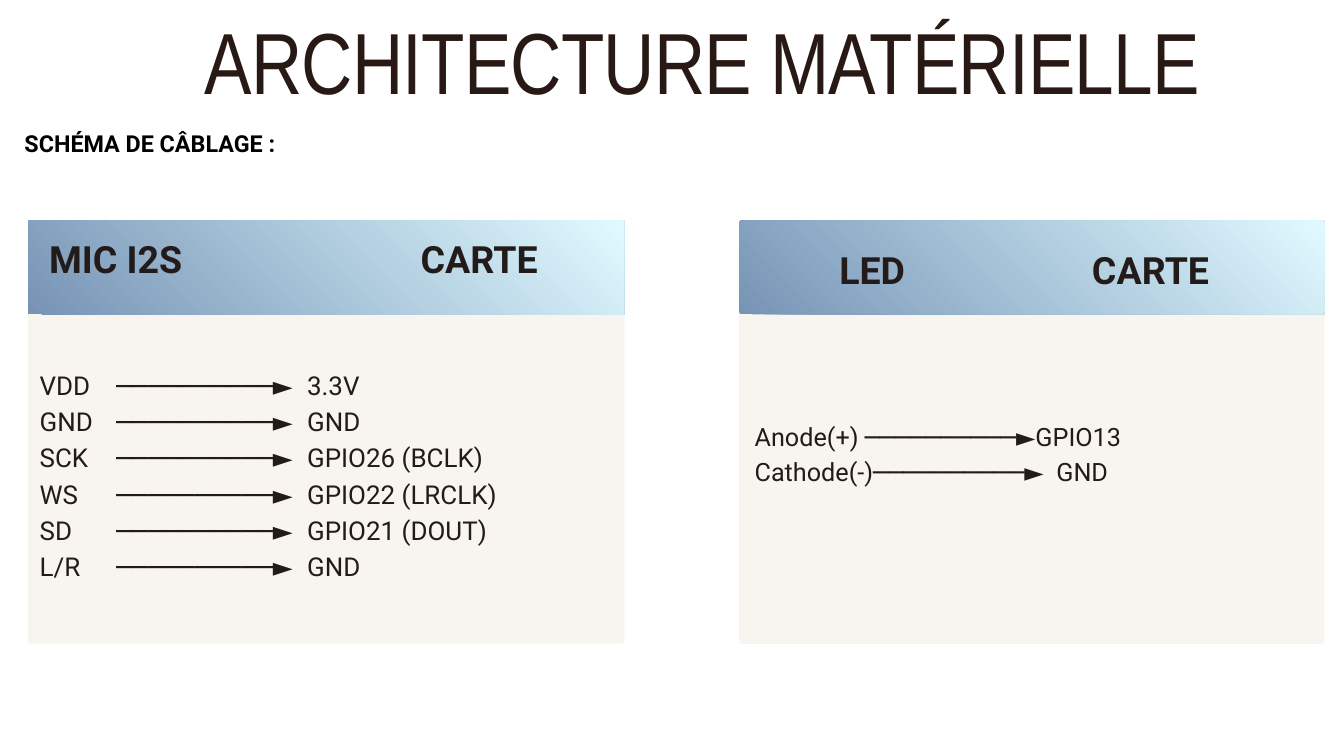
from pptx import Presentation
from pptx.dml.color import RGBColor
from pptx.enum import shapes, text
from pptx.oxml import parse_xml
from pptx.oxml.ns import nsdecls
from pptx.util import Emu, Inches, Pt

TITLE = "ARCHITECTURE MATÉRIELLE"
SUBTITLE = "SCHÉMA DE CÂBLAGE :"
ARROW = "──────────►"
MICRO_PINS = [
    ("VDD", "3.3V"),
    ("GND", "GND"),
    ("SCK", "GPIO26 (BCLK)"),
    ("WS", "GPIO22 (LRCLK)"),
    ("SD", "GPIO21 (DOUT)"),
    ("L/R", "GND"),
]
LED_ROWS = [f"Anode(+) {ARROW}GPIO13", f"Cathode(-){ARROW}\tGND"]

INK = "221B19"
CARD = "F8F5F1"
GRADIENT = ("7794B6", "DFFAFF")
CORNER = 0.04
HEADER_TOP, HEADER_HEIGHT, CARD_BOTTOM = 3.28, 1.4, 9.58

PANELS = [
    {"left": 0.42, "width": 8.87, "card_top": 3.28, "header_corner": 0},
    {"left": 11, "width": 8.71, "card_top": 3.87, "header_corner": CORNER},
]
HEADINGS = [
    {"lines": ["MIC I2S"], "box": (0.73, 3.4, 5.2, 0.74)},
    {"lines": ["CARTE"], "box": (6.26, 3.4, 2.9, 0.74)},
    {"lines": ["LED\tCARTE"], "box": (12.49, 3.56, 6, 0.75), "tabs": [3.76]},
]
WIRINGS = [
    {"lines": [f"{pin}\t{ARROW}\t{target}" for pin, target in MICRO_PINS],
     "box": (0.59, 5.42, 8.54, 3.2), "size": 27.8, "spacing": 38.9,
     "tabs": [1.14, 3.98]},
    {"lines": LED_ROWS, "box": (11.23, 6.19, 8.77, 1.02),
     "size": 27, "spacing": 37.8, "tabs": [4.49]},
]


def rgb(value):
    return RGBColor.from_string(value)


def place(shape, box):
    shape.left, shape.top, shape.width, shape.height = map(Inches, box)


def write(shape, lines, size, spacing, font="Roboto", color=INK, bold=False,
          align=text.PP_ALIGN.LEFT, tabs=(), tracking=None):
    frame = shape.text_frame
    frame.word_wrap = True
    frame.auto_size = text.MSO_AUTO_SIZE.NONE
    frame.vertical_anchor = text.MSO_ANCHOR.TOP
    frame.margin_left = frame.margin_right = Emu(0)
    frame.margin_top = frame.margin_bottom = Emu(0)
    for index, line in enumerate(lines):
        paragraph = frame.paragraphs[0] if index == 0 else frame.add_paragraph()
        paragraph.alignment = align
        paragraph.line_spacing = Pt(spacing)
        if tabs:
            stops = "".join(f'<a:tab pos="{Inches(stop)}" algn="l"/>' for stop in tabs)
            paragraph._p.get_or_add_pPr().append(
                parse_xml(f'<a:tabLst {nsdecls("a")}>{stops}</a:tabLst>'))
        run = paragraph.add_run()
        run.text = line
        run.font.size = Pt(size)
        run.font.name = font
        run.font.bold = bold
        run.font.color.rgb = rgb(color)
        if tracking is not None:
            run._r.get_or_add_rPr().set("spc", str(round(tracking * 100)))


def add_text(slide, lines, box, **style):
    write(slide.shapes.add_textbox(*map(Inches, box)), lines, **style)


def add_block(slide, box, corner, colors):
    kind = shapes.MSO_SHAPE.ROUNDED_RECTANGLE if corner else shapes.MSO_SHAPE.RECTANGLE
    block = slide.shapes.add_shape(kind, *map(Inches, box))
    block.shadow.inherit = False
    block.line.fill.background()
    if corner:
        block.adjustments[0] = corner / min(box[2:])
    if len(colors) == 1:
        block.fill.solid()
        block.fill.fore_color.rgb = rgb(colors[0])
    else:
        block.fill.gradient()
        block.fill.gradient_angle = 45
        for stop, color in zip(block.fill.gradient_stops, colors):
            stop.color.rgb = rgb(color)


def main():
    deck = Presentation()
    deck.slide_width, deck.slide_height = Inches(20), Inches(11.25)
    slide = deck.slides.add_slide(deck.slide_layouts[5])

    title = slide.shapes.title
    place(title, (2.4, 0.25, 16.1, 1.65))
    write(title, [TITLE], size=92.9, spacing=102.2, font="Arial Narrow",
          color="291915", align=text.PP_ALIGN.CENTER, tracking=-0.9)
    add_text(slide, [SUBTITLE], (-0.16, 1.85, 4.78, 0.46), size=25, spacing=35,
             color="000000", bold=True, align=text.PP_ALIGN.CENTER)

    for panel in PANELS:
        left, width, top = panel["left"], panel["width"], panel["card_top"]
        add_block(slide, (left, top, width, CARD_BOTTOM - top), CORNER, [CARD])
        add_block(slide, (left, HEADER_TOP, width, HEADER_HEIGHT),
                  panel["header_corner"], GRADIENT)
    for heading in HEADINGS:
        add_text(slide, **heading, size=40.2, spacing=56.3, bold=True)
    for wiring in WIRINGS:
        add_text(slide, **wiring)

    deck.save("out.pptx")


if __name__ == "__main__":
    main()
